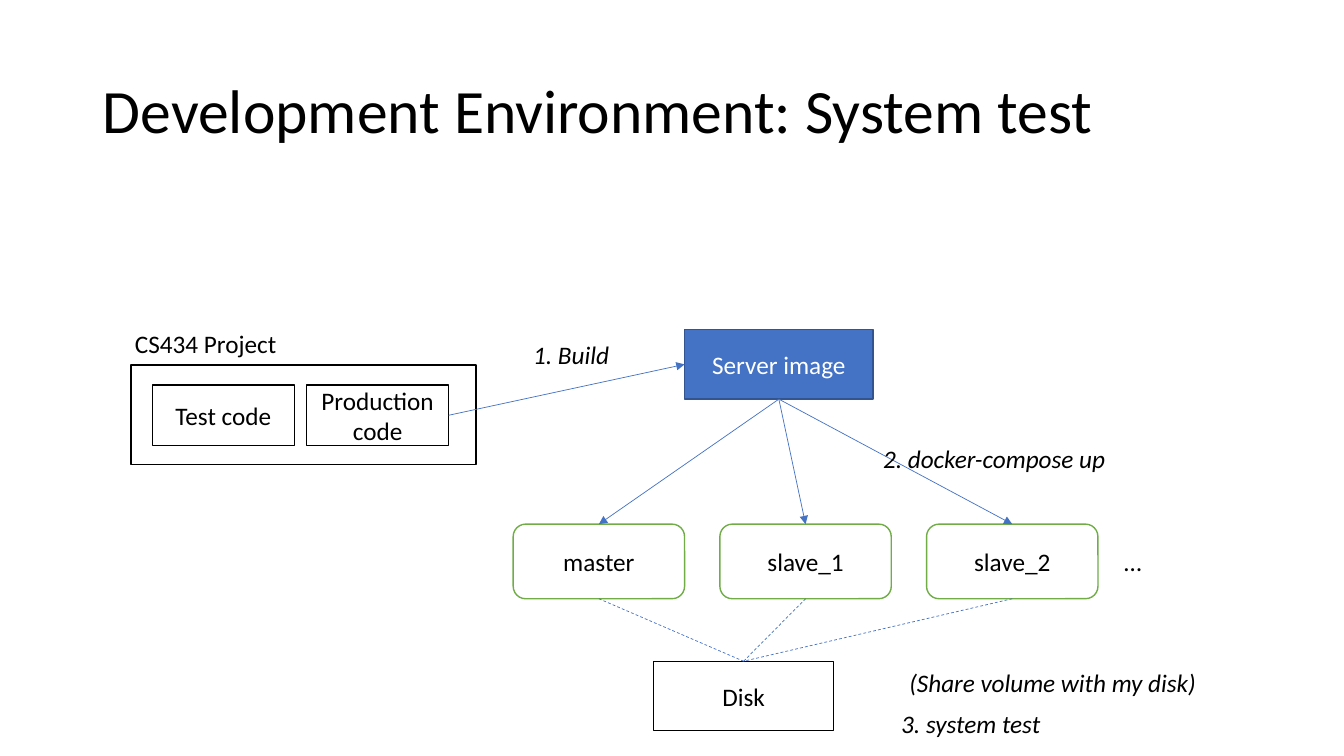
from dataclasses import dataclass
from typing import Optional

from lxml import etree
from pptx import Presentation
from pptx.dml.color import RGBColor
from pptx.enum.dml import MSO_LINE
from pptx.enum.shapes import MSO_CONNECTOR, MSO_SHAPE
from pptx.enum.text import MSO_ANCHOR, MSO_AUTO_SIZE, PP_ALIGN
from pptx.oxml.ns import qn
from pptx.shapes.autoshape import Shape
from pptx.slide import Slide
from pptx.text.text import TextFrame
from pptx.util import Inches, Pt

RECTANGLE = MSO_SHAPE.RECTANGLE
ROUNDED = MSO_SHAPE.ROUNDED_RECTANGLE
STRAIGHT = MSO_CONNECTOR.STRAIGHT
DASH = MSO_LINE.DASH
LEFT, CENTER = PP_ALIGN.LEFT, PP_ALIGN.CENTER
TOP, MIDDLE = MSO_ANCHOR.TOP, MSO_ANCHOR.MIDDLE
FIT_SHAPE = MSO_AUTO_SIZE.SHAPE_TO_FIT_TEXT

BLACK = RGBColor(0x00, 0x00, 0x00)
WHITE = RGBColor(0xFF, 0xFF, 0xFF)
BLUE = RGBColor(0x44, 0x72, 0xC4)
DARK_BLUE = RGBColor(0x32, 0x54, 0x91)
GREEN = RGBColor(0x70, 0xAD, 0x47)
FONT = "Calibri"

# Connection sites of a rectangle
SITE_TOP, SITE_LEFT, SITE_BOTTOM, SITE_RIGHT = range(4)


@dataclass
class Box:
    text: str
    left: float
    top: float
    width: float
    height: float
    outline: RGBColor = BLACK
    fill: Optional[RGBColor] = None
    color: RGBColor = BLACK
    rounded: bool = False


@dataclass
class Label:
    text: str
    left: float
    top: float
    width: float
    italic: bool = True


def write_text(frame: TextFrame, text: str, *, size: float = 18,
               color: RGBColor = BLACK, italic: bool = False,
               align: PP_ALIGN = LEFT, anchor: MSO_ANCHOR = TOP,
               spacing: float = 1.0) -> None:
    frame.text = text
    frame.vertical_anchor = anchor
    paragraph = frame.paragraphs[0]
    paragraph.alignment = align
    paragraph.line_spacing = spacing
    font = paragraph.runs[0].font
    font.name = FONT
    font.size = Pt(size)
    font.italic = italic
    font.color.rgb = color


def add_box(slide: Slide, box: Box) -> Shape:
    shape = slide.shapes.add_shape(
        ROUNDED if box.rounded else RECTANGLE, Inches(box.left),
        Inches(box.top), Inches(box.width), Inches(box.height))
    shape.shadow.inherit = False
    if box.fill is None:
        shape.fill.background()
    else:
        shape.fill.solid()
        shape.fill.fore_color.rgb = box.fill
    shape.line.color.rgb = box.outline
    shape.line.width = Pt(1)
    if box.text:
        shape.text_frame.word_wrap = True
        write_text(shape.text_frame, box.text, color=box.color,
                   align=CENTER, anchor=MIDDLE)
    return shape


def add_label(slide: Slide, label: Label) -> None:
    text_box = slide.shapes.add_textbox(
        Inches(label.left), Inches(label.top), Inches(label.width), Inches(0.4))
    text_box.text_frame.word_wrap = False
    text_box.text_frame.auto_size = FIT_SHAPE
    write_text(text_box.text_frame, label.text, italic=label.italic)


def connect(slide: Slide, start: Shape, end: Shape, *,
            start_site: int = SITE_BOTTOM, end_site: int = SITE_TOP,
            dashed: bool = False) -> None:
    """Join two shapes with a dashed line or with an arrow."""
    connector = slide.shapes.add_connector(STRAIGHT, 0, 0, 0, 0)
    connector.begin_connect(start, start_site)
    connector.end_connect(end, end_site)
    connector.line.color.rgb = BLUE
    connector.line.width = Pt(0.5)
    if dashed:
        connector.line.dash_style = DASH
    else:
        line = connector.line._get_or_add_ln()
        etree.SubElement(line, qn("a:tailEnd"), type="triangle")
    etree.SubElement(connector._element.spPr, qn("a:effectLst"))


CODE_BOXES = [
    Box(text, 1.51 + 1.53 * index, 3.82, 1.41, 0.6)
    for index, text in enumerate(["Test code", "Production code"])
]
PROJECT = Box("", 1.3, 3.62, 3.42, 0.99)
SERVER_IMAGE = Box("Server image", 6.79, 3.27, 1.87, 0.69,
                   outline=DARK_BLUE, fill=BLUE, color=WHITE)
CONTAINERS = [
    Box(text, 5.09 + 2.05 * index, 5.2, 1.7, 0.74,
        outline=GREEN, fill=WHITE, rounded=True)
    for index, text in enumerate(["master", "slave_1", "slave_2"])
]
DISK = Box("Disk", 6.48, 6.56, 1.79, 0.69)
LABELS = [
    Label("CS434 Project", 1.24, 3.21, 1.62, italic=False),
    Label("1. Build", 5.19, 3.32, 0.96),
    Label("2. docker-compose up", 8.66, 4.35, 2.43),
    Label("…", 11.05, 5.37, 0.38, italic=False),
    Label("(Share volume with my disk)", 8.92, 6.57, 3.08),
    Label("3. system test", 8.84, 6.98, 1.59),
]


def main() -> None:
    presentation = Presentation()
    presentation.slide_width = Inches(13.33)
    presentation.slide_height = Inches(7.5)
    slide = presentation.slides.add_slide(presentation.slide_layouts[5])

    # Title
    title = slide.shapes.title
    title.left, title.top = Inches(0.92), Inches(0.4)
    title.width, title.height = Inches(11.5), Inches(1.45)
    write_text(title.text_frame, "Development Environment: System test",
               size=44, anchor=MIDDLE, spacing=0.9)

    # Project, image, containers and disk
    _, production_code = [add_box(slide, box) for box in CODE_BOXES]
    add_box(slide, PROJECT)
    server_image = add_box(slide, SERVER_IMAGE)
    containers = [add_box(slide, box) for box in CONTAINERS]
    disk = add_box(slide, DISK)

    # Build arrow, start arrows and shared volume lines
    connect(slide, production_code, server_image,
            start_site=SITE_RIGHT, end_site=SITE_LEFT)
    for container in containers:
        connect(slide, server_image, container)
        connect(slide, container, disk, dashed=True)

    # Steps and captions
    for label in LABELS:
        add_label(slide, label)

    presentation.save("out.pptx")


if __name__ == "__main__":
    main()
